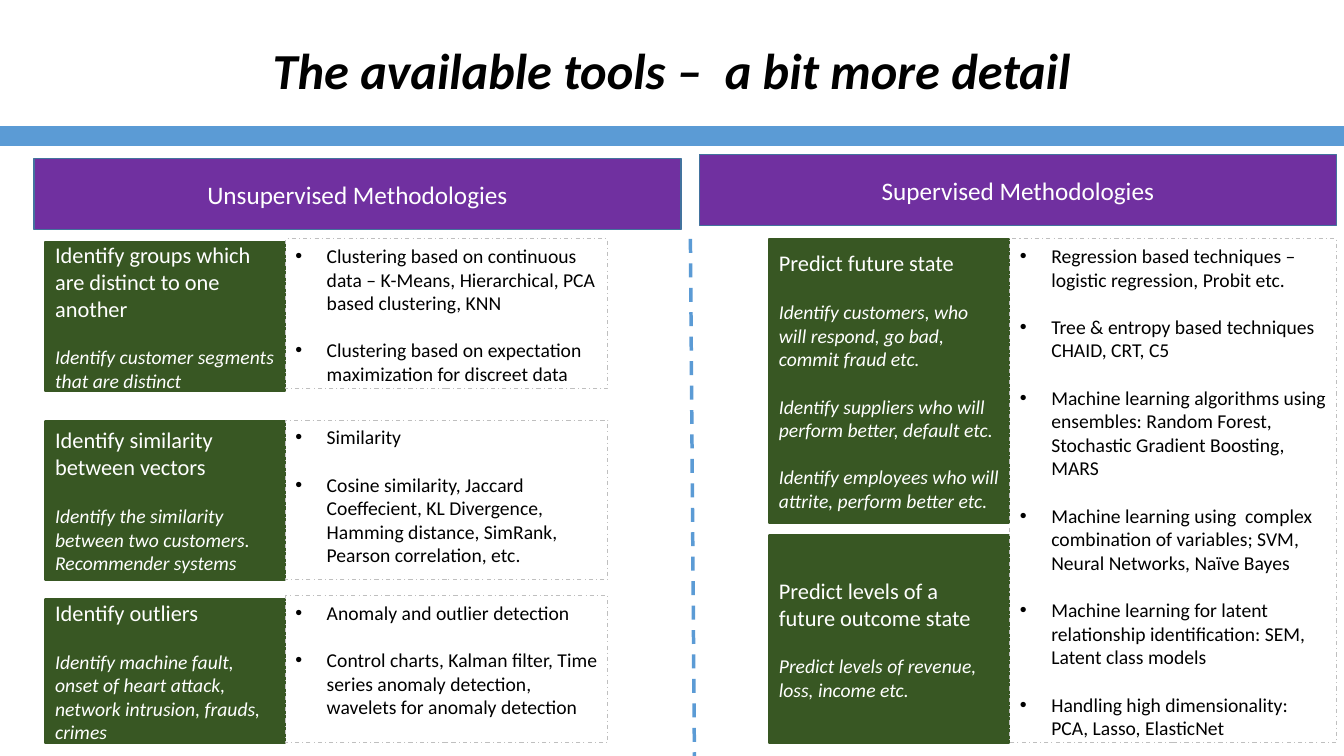
from dataclasses import dataclass

from lxml import etree
from pptx import Presentation
from pptx.dml.color import RGBColor
from pptx.enum import dml, shapes, text
from pptx.oxml.ns import qn
from pptx.util import Cm, Pt

FONT = "Calibri"
BLACK, WHITE, BLUE, GREEN = "000000", "FFFFFF", "5B9BD5", "385723"
PURPLE, EDGE, GREY = "7030A0", "43739E", "BFBFBF"
GAP = 17  # points, one line of 14 pt text
LEFT, RIGHT = (1.14, 6.05), (19.38, 6.05)
LISTS, LONG = (7.19, 8.13), (25.45, 8.23)


@dataclass
class Box:
    """Column (x, width), top and height in cm, and the paragraphs inside."""
    col: tuple[float, float]
    top: float
    high: float
    lines: list[str]


HEADS = [
    Box((0.86, 16.3), 3.99, 1.8, ["Unsupervised Methodologies"]),
    Box((17.63, 16.05), 3.89, 1.8, ["Supervised Methodologies"]),
]
GOALS = [
    Box(LEFT, 6.1, 3.76, [
        "Identify groups which are distinct to one another",
        "Identify customer segments that are distinct"]),
    Box(LEFT, 10.62, 3.99, [
        "Identify similarity between vectors",
        "Identify the similarity between two customers. Recommender systems"]),
    Box(LEFT, 15.11, 3.61, [
        "Identify outliers",
        "Identify machine fault, onset of heart attack, network intrusion, frauds, crimes"]),
    Box(RIGHT, 6.02, 7.16, [
        "Predict future state",
        "Identify customers, who will respond, go bad, commit fraud etc.",
        "Identify suppliers who will perform better, default etc.",
        "Identify employees who will attrite, perform better etc."]),
    Box(RIGHT, 13.49, 5.23, [
        "Predict levels of a future outcome state",
        "Predict levels of revenue, loss, income etc."]),
]
TOOLS = [
    Box(LISTS, 6.02, 3.78, [
        "Clustering based on continuous data – K-Means, Hierarchical, PCA based clustering, KNN",
        "Clustering based on expectation maximization for discreet data"]),
    Box(LISTS, 10.59, 4.01, [
        "Similarity",
        "Cosine similarity, Jaccard Coeffecient, KL Divergence, Hamming distance, "
        "SimRank, Pearson correlation, etc."]),
    Box(LISTS, 15.01, 3.71, [
        "Anomaly and outlier detection",
        "Control charts, Kalman filter, Time series anomaly detection, "
        "wavelets for anomaly detection"]),
    Box(LONG, 6.02, 12.7, [
        "Regression based techniques – logistic regression, Probit etc.",
        "Tree & entropy based techniques CHAID, CRT, C5",
        "Machine learning algorithms using ensembles: Random Forest, "
        "Stochastic Gradient Boosting, MARS",
        "Machine learning using  complex combination of variables; SVM, "
        "Neural Networks, Naïve Bayes",
        "Machine learning for latent relationship identification: SEM, Latent class models",
        "Handling high dimensionality: PCA, Lasso, ElasticNet"]),
]


def paint(part, tone: str) -> None:
    """Colour a fill, or the fill of a line or font."""
    fill = getattr(part, "fill", part)
    fill.solid()
    fill.fore_color.rgb = RGBColor.from_string(tone)


def place(shape, box: Box) -> None:
    shape.left, shape.width = map(Cm, box.col)
    shape.top, shape.height = Cm(box.top), Cm(box.high)


def bullet(para) -> None:
    props = para._p.get_or_add_pPr()
    props.set("marL", str(Cm(0.79)))
    props.set("indent", str(-Cm(0.79)))
    etree.SubElement(props, qn("a:buFont")).set("typeface", "Arial")
    etree.SubElement(props, qn("a:buChar")).set("char", "•")


def write(shape, lines: list[str], sizes: tuple[int, int], tone: str,
          align=text.PP_ALIGN.LEFT, anchor=text.MSO_ANCHOR.MIDDLE,
          bold: bool = False, slant: tuple[bool, bool] = (False, False),
          space: float = 1.0, dots: bool = False) -> None:
    """Fill a shape; sizes and slant give the first paragraph, then the rest."""
    frame = shape.text_frame
    frame.text = "\n".join(lines)
    frame.word_wrap = True
    frame.auto_size = text.MSO_AUTO_SIZE.NONE
    frame.vertical_anchor = anchor
    for i, para in enumerate(frame.paragraphs):
        rest = min(i, 1)
        para.alignment = align
        para.line_spacing = space
        para.space_before = Pt(GAP * rest)
        para.space_after = Pt(0)
        if dots:
            bullet(para)
        for run in para.runs:
            font = run.font
            font.name, font.size = FONT, Pt(sizes[rest])
            font.bold, font.italic = bold, slant[rest]
            paint(font, tone)


def block(slide, box: Box, tone: str, edge: str = "", wide: float = 1):
    """Add a filled rectangle."""
    shape = slide.shapes.add_shape(shapes.MSO_SHAPE.RECTANGLE, 0, 0, 0, 0)
    place(shape, box)
    shape.shadow.inherit = False
    paint(shape.fill, tone)
    if edge:
        paint(shape.line, edge)
        shape.line.width = Pt(wide)
    else:
        shape.line.fill.background()
    return shape


def split(slide) -> None:
    """Draw the dashed line between the two halves."""
    line = slide.shapes.add_connector(
        shapes.MSO_CONNECTOR.STRAIGHT, Cm(17.4), Cm(6.02), Cm(17.5), Cm(19.05))
    paint(line.line, BLUE)
    line.line.width = Pt(2.5)
    line.line.dash_style = dml.MSO_LINE.DASH
    etree.SubElement(line._element.spPr, qn("a:effectLst"))


def main() -> None:
    deck = Presentation()
    deck.slide_width, deck.slide_height = Cm(33.87), Cm(19.05)
    slide = deck.slides.add_slide(deck.slide_layouts.get_by_name("Comparison"))
    title, *bodies = slide.placeholders

    place(title, Box((0, 33.87), 0, 3.68, []))
    write(title, ["The available tools –  a bit more detail"], (36, 36), BLACK,
          text.PP_ALIGN.CENTER, bold=True, slant=(True, True), space=0.9)
    block(slide, Box((0, 33.87), 3.18, 0.5, []), BLUE)
    for head in HEADS:
        write(block(slide, head, PURPLE, EDGE), head.lines, (18, 18), WHITE,
              text.PP_ALIGN.CENTER)
    split(slide)
    for goal in GOALS:
        write(block(slide, goal, GREEN, GREEN, 1.75), goal.lines, (16, 14), WHITE,
              slant=(False, True))
    for body, tool in zip(bodies, TOOLS):
        place(body, tool)
        write(body, tool.lines, (14, 14), BLACK, anchor=text.MSO_ANCHOR.TOP, dots=True)
        paint(body.line, GREY)
        body.line.width = Pt(0.75)
        body.line.dash_style = dml.MSO_LINE.DASH_DOT
        slide.shapes._spTree.append(body._element)  # bring in front of the goals
    deck.save("out.pptx")


if __name__ == "__main__":
    main()
